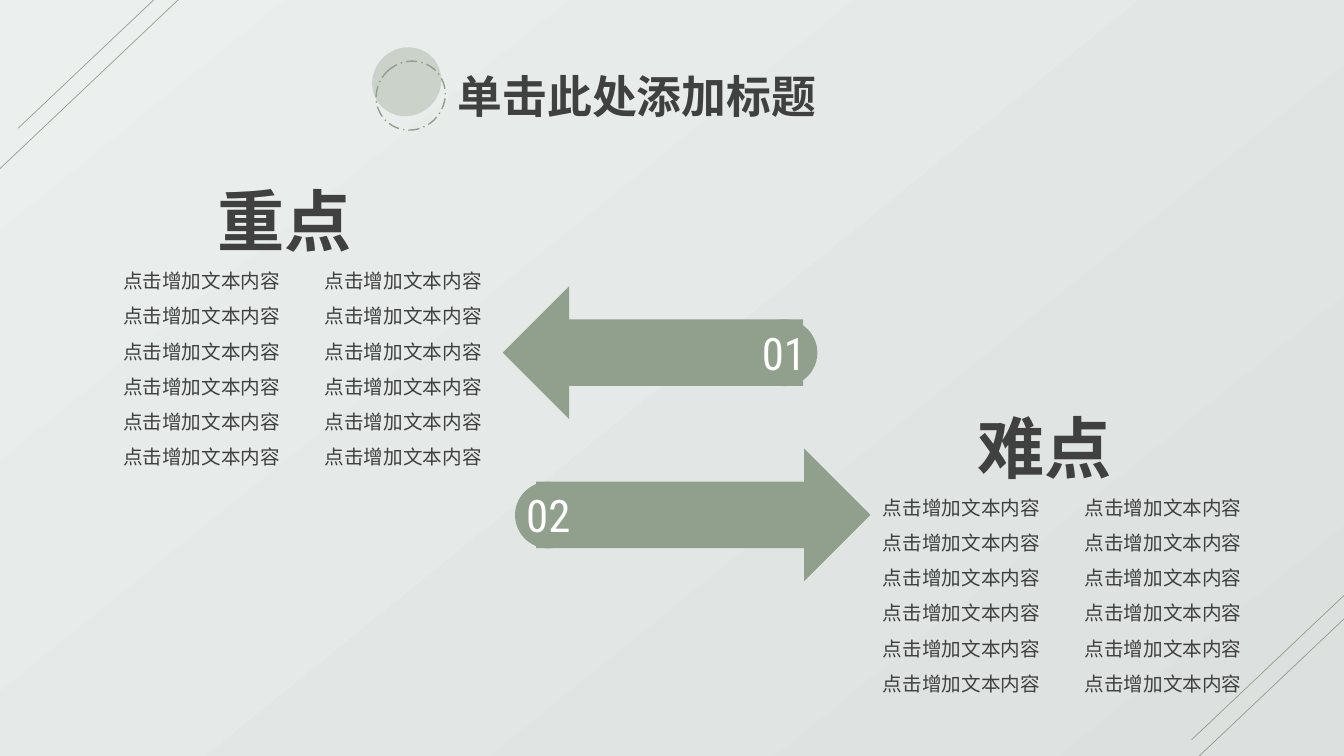
from lxml import etree
from pptx import Presentation
from pptx.dml.color import RGBColor
from pptx.enum.dml import MSO_LINE
from pptx.enum.shapes import MSO_CONNECTOR, MSO_SHAPE
from pptx.enum.text import MSO_ANCHOR, MSO_AUTO_SIZE, PP_ALIGN
from pptx.oxml.ns import qn
from pptx.util import Cm, Pt

STRAIGHT = MSO_CONNECTOR.STRAIGHT
OVAL, ARROW = MSO_SHAPE.OVAL, MSO_SHAPE.RIGHT_ARROW
DASH_DOT = MSO_LINE.LONG_DASH_DOT
LEFT, CENTER, JUSTIFY = PP_ALIGN.LEFT, PP_ALIGN.CENTER, PP_ALIGN.JUSTIFY
TOP, MIDDLE = MSO_ANCHOR.TOP, MSO_ANCHOR.MIDDLE
NO_AUTOFIT = MSO_AUTO_SIZE.NONE

COLORS = {
    "light": "EBF0EF",
    "shade": "DCE0DE",
    "sage": "90A08D",
    "pale": "C0C9BE",
    "text": "404040",
    "white": "FFFFFF",
}
TEXT_FONT, NUMBER_FONT = "Noto Sans CJK SC", "Roboto Condensed"
TWO_CONTENT_LAYOUT = 3
COLUMN_STOP = 4.41
LIST_LINES = ["点击增加文本内容\t点击增加文本内容"] * 6


def color(name):
    return RGBColor.from_string(COLORS[name])


class SlideBuilder:
    """Holds the slide and draws styled elements; lengths are centimetres."""

    def __init__(self, slide):
        self.slide = slide

    def background(self, angle):
        fill = self.slide.background.fill
        fill.gradient()
        fill.gradient_angle = 360 - angle
        for stop, name in zip(fill.gradient_stops, ("light", "shade")):
            stop.color.rgb = color(name)

    def line(self, x, y, dx, dy):
        connector = self.slide.shapes.add_connector(
            STRAIGHT, Cm(x), Cm(y), Cm(x + dx), Cm(y + dy))
        connector.line.color.rgb = color("sage")
        connector.line.width = Pt(0.5)
        etree.SubElement(connector._element.spPr, qn("a:effectLst"))

    def shape(self, kind, x, y, width, height, fill=None, rotation=0):
        shape = self.slide.shapes.add_shape(kind, Cm(x), Cm(y), Cm(width), Cm(height))
        shape.shadow.inherit = False
        shape.rotation = rotation
        shape.line.fill.background()
        if fill:
            shape.fill.solid()
            shape.fill.fore_color.rgb = color(fill)
        else:
            shape.fill.background()
        return shape

    def ring(self, x, y, width, height, rotation):
        ring = self.shape(OVAL, x, y, width, height, rotation=rotation)
        ring.line.color.rgb = color("sage")
        ring.line.width = Pt(1)
        ring.line.dash_style = DASH_DOT

    def translucent_disc(self, x, y, width, height, rotation, opacity):
        disc = self.shape(OVAL, x, y, width, height, "pale", rotation)
        fill_color = disc._element.spPr.find(qn("a:solidFill"))[0]
        etree.SubElement(fill_color, qn("a:alpha"), val=str(opacity * 1000))

    def set_text(self, shape, lines, size, align=LEFT, anchor=TOP, wrap=True,
                 bold=False, font=TEXT_FONT, ink="text", spacing=1.0):
        frame = shape.text_frame
        frame.text = "\n".join(lines)
        frame.word_wrap = wrap
        frame.auto_size = NO_AUTOFIT
        frame.vertical_anchor = anchor
        for paragraph in frame.paragraphs:
            paragraph.alignment = align
            paragraph.line_spacing = spacing
            paragraph.space_before = Pt(0)
            paragraph.font.name = font
            paragraph.font.size = Pt(size)
            paragraph.font.bold = bold
            paragraph.font.color.rgb = color(ink)
            properties = paragraph._p.pPr.find(qn("a:defRPr"))
            properties.find(qn("a:latin")).addnext(
                etree.Element(qn("a:ea"), typeface=font))

    def place(self, shape, x, y, width, height):
        shape.left, shape.top = Cm(x), Cm(y)
        shape.width, shape.height = Cm(width), Cm(height)

    def title(self, text, x, y, width, height):
        title = self.slide.shapes.title
        self.place(title, x, y, width, height)
        self.set_text(title, [text], 32, JUSTIFY, bold=True)

    def heading(self, text, x, y):
        box = self.slide.shapes.add_textbox(Cm(x), Cm(y), Cm(3.91), Cm(2.31))
        self.set_text(box, [text], 48, wrap=False, bold=True)

    def two_column_list(self, index, x, y):
        """Fill a body placeholder with lines split by a tab stop."""
        body = self.slide.placeholders[index]
        self.place(body, x, y, 12.4, 6.63)
        self.set_text(body, LIST_LINES, 14, JUSTIFY, spacing=1.5)
        frame = body.text_frame
        frame.margin_left = frame.margin_right = Cm(0.33)
        frame.margin_top = frame.margin_bottom = Cm(0.18)
        for paragraph in frame.paragraphs:
            properties = paragraph._p.pPr
            properties.set("marL", "0")
            properties.set("indent", "0")
            default_font = properties.find(qn("a:defRPr"))
            tabs = etree.Element(qn("a:tabLst"))
            etree.SubElement(tabs, qn("a:tab"), pos=str(Cm(COLUMN_STOP)), algn="l")
            default_font.addprevious(etree.Element(qn("a:buNone")))
            default_font.addprevious(tabs)

    def badge(self, number, x, y):
        badge = self.shape(OVAL, x, y, 1.68, 1.68, "sage")
        self.set_text(badge, [number], 32, CENTER, MIDDLE, wrap=False,
                      font=NUMBER_FONT, ink="white")


def main():
    presentation = Presentation()
    presentation.slide_width, presentation.slide_height = Cm(33.87), Cm(19.05)
    layout = presentation.slide_layouts[TWO_CONTENT_LAYOUT]
    builder = SlideBuilder(presentation.slides.add_slide(layout))

    builder.background(51)
    for x, y in ((4.57, -0.08), (5.18, -1.24), (34.16, 15.32), (34.75, 14.17)):
        builder.line(x, y, -4.72, 4.47)

    builder.title("单击此处添加标题", 11.28, 1.6, 12.57, 1.63)
    builder.translucent_disc(9.4, 1.17, 1.7, 1.78, 47, 74)
    builder.ring(9.5, 1.52, 1.7, 1.78, 47)

    builder.shape(ARROW, 12.67, 7.21, 7.57, 3.35, "sage", rotation=180)
    builder.badge("01", 18.92, 8.05)
    builder.shape(ARROW, 13.51, 11.3, 8.43, 3.35, "sage")
    builder.badge("02", 12.98, 12.14)

    builder.two_column_list(1, 2.77, 6.3)
    builder.heading("重点", 5.23, 4.39)
    builder.two_column_list(2, 21.92, 12.01)
    builder.heading("难点", 24.38, 10.11)

    presentation.save("out.pptx")


if __name__ == "__main__":
    main()
